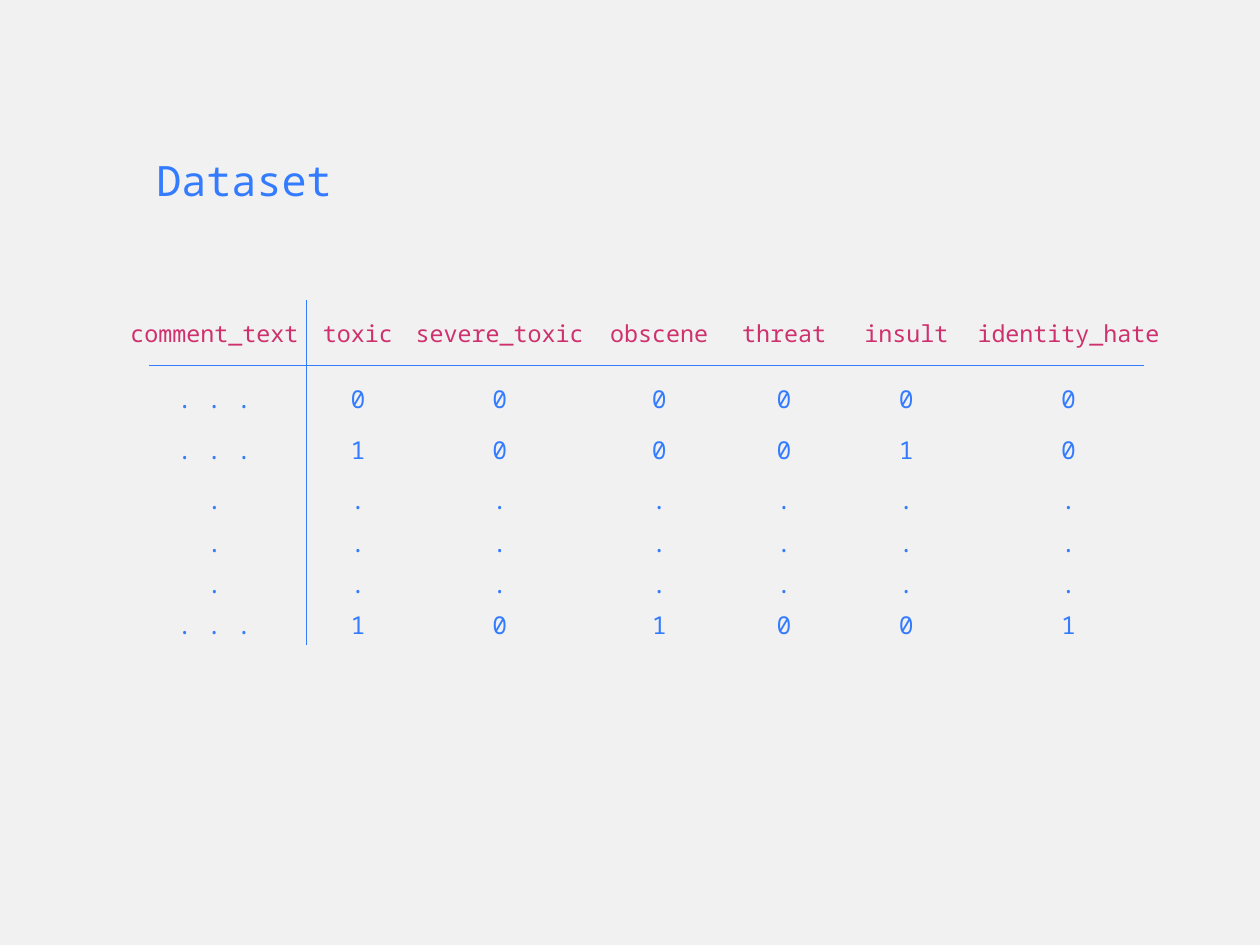
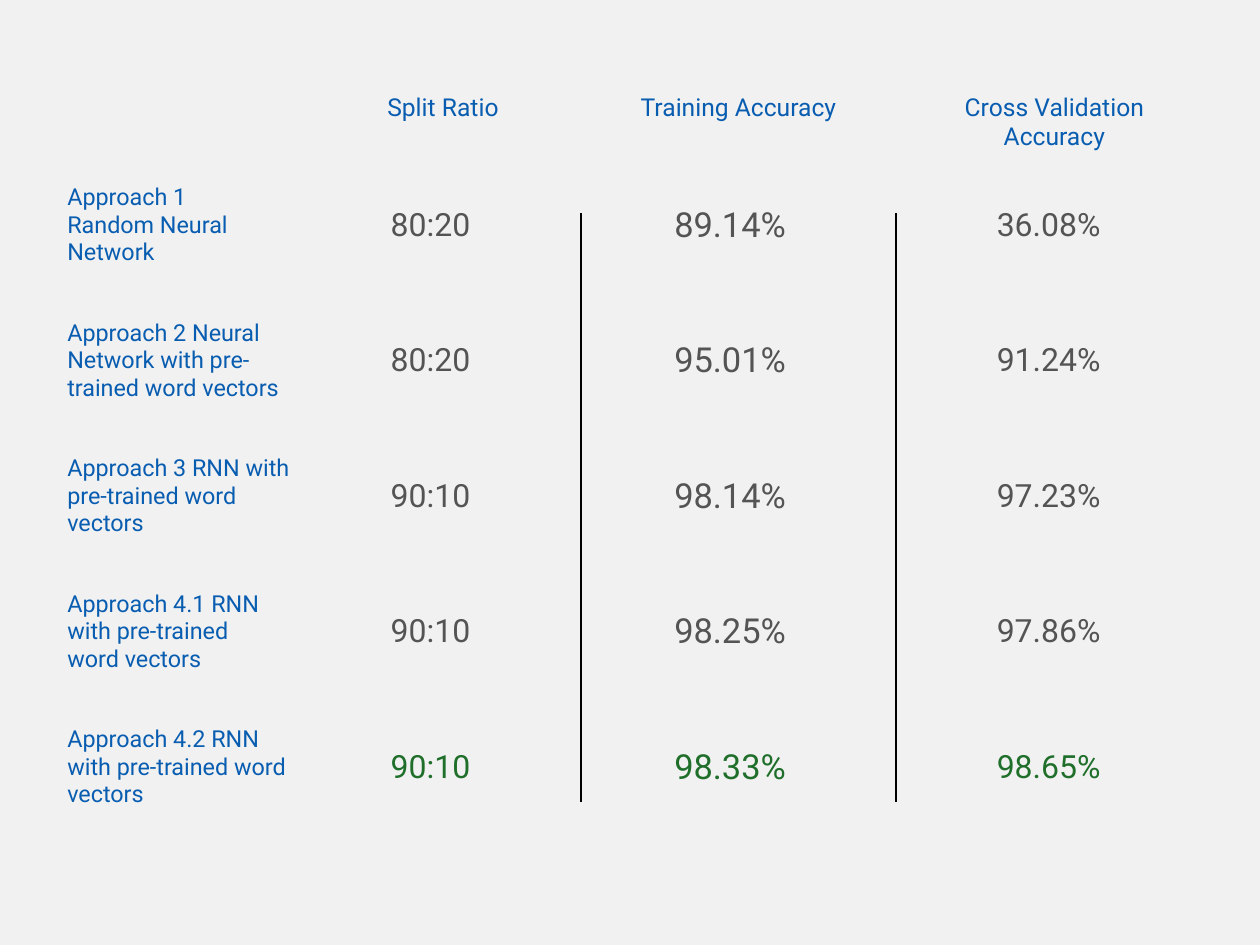
from pptx import Presentation
from pptx import util as u
from pptx.dml.color import RGBColor
from pptx.enum import shapes, text
from pptx.oxml.ns import qn
from lxml import etree

BACKGROUND = RGBColor(0xF1, 0xF1, 0xF1)
BRIGHT_BLUE = RGBColor(0x34, 0x7C, 0xFF)
PINK = RGBColor(0xCF, 0x31, 0x6E)
DEEP_BLUE = RGBColor(0x09, 0x5D, 0xB1)
GREY = RGBColor(0x54, 0x54, 0x54)
GREEN = RGBColor(0x1F, 0x6F, 0x2B)
BLACK = RGBColor(0, 0, 0)

MONO, SANS = "Noto Sans Mono", "Roboto"
NO_GRID_STYLE = "{2D5ABB26-0587-4C30-8999-92F81FD0307C}"
LEFT, CENTER = text.PP_ALIGN.LEFT, text.PP_ALIGN.CENTER
TOP, MIDDLE = text.MSO_ANCHOR.TOP, text.MSO_ANCHOR.MIDDLE

LABELS = ["comment_text", "toxic", "severe_toxic", "obscene", "threat",
          "insult", "identity_hate"]
DOTS = ["."] * len(LABELS)
COMMENTS = [
    [". . .", "0", "0", "0", "0", "0", "0"],
    [". . .", "1", "0", "0", "0", "1", "0"],
    DOTS, DOTS, DOTS,
    [". . .", "1", "0", "1", "0", "0", "1"],
]

RESULT_HEADERS = ["", "Split Ratio", "Training Accuracy",
                  "Cross Validation Accuracy"]
# Width in which each approach wraps, then its row of the table
RESULTS = [
    (1.96, ["Approach 1 Random Neural Network", "80:20", "89.14%", "36.08%"]),
    (2.55, ["Approach 2 Neural Network with pre-trained word vectors",
            "80:20", "95.01%", "91.24%"]),
    (2.55, ["Approach 3 RNN with pre-trained word vectors",
            "90:10", "98.14%", "97.23%"]),
    (2.29, ["Approach 4.1 RNN with pre-trained word vectors",
            "90:10", "98.25%", "97.86%"]),
    (2.55, ["Approach 4.2 RNN with pre-trained word vectors",
            "90:10", "98.33%", "98.65%"]),
]


def write(frame, content, font_name, size, color, align):
    paragraph = frame.paragraphs[0]
    paragraph.alignment = align
    run = paragraph.add_run()
    run.text = content
    run.font.name = font_name
    run.font.size = u.Pt(size)
    run.font.color.rgb = color


def fill_cell(cell, content, font_name, size, color, align=CENTER,
              anchor=MIDDLE, left=0, top=0, right=0):
    cell.fill.background()
    cell.vertical_anchor = anchor
    cell.margin_left, cell.margin_top = u.Inches(left), u.Inches(top)
    cell.margin_right, cell.margin_bottom = u.Inches(right), 0
    if content:
        write(cell.text_frame, content, font_name, size, color, align)


def add_plain_table(slide, left, top, widths, heights):
    """Add a table without borders or banding, sized by its columns and rows."""
    frame = slide.shapes.add_table(
        len(heights), len(widths), u.Inches(left), u.Inches(top),
        u.Inches(sum(widths)), u.Inches(sum(heights)))
    frame.element.find(".//" + qn("a:tableStyleId")).text = NO_GRID_STYLE
    table = frame.table
    table.horz_banding = False
    for column, width in zip(table.columns, widths):
        column.width = u.Inches(width)
    for row, height in zip(table.rows, heights):
        row.height = u.Inches(height)
    return table


def add_rule(slide, x1, y1, x2, y2, color, width):
    rule = slide.shapes.add_connector(
        shapes.MSO_CONNECTOR.STRAIGHT,
        u.Inches(x1), u.Inches(y1), u.Inches(x2), u.Inches(y2))
    rule.line.color.rgb = color
    rule.line.width = u.Pt(width)
    etree.SubElement(rule.element.spPr, qn("a:effectLst"))


def place_title(slide, content, left, top, width, height):
    title = slide.shapes.title
    title.left, title.top = u.Inches(left), u.Inches(top)
    title.width, title.height = u.Inches(width), u.Inches(height)
    frame = title.text_frame
    frame.word_wrap = False
    frame.auto_size = text.MSO_AUTO_SIZE.NONE
    frame.vertical_anchor = MIDDLE
    frame.margin_left = frame.margin_right = u.Inches(0.06)
    write(frame, content, MONO, 34, BRIGHT_BLUE, CENTER)


def add_comment_table(slide, left, top):
    widths = [2.08, 1.16, 2.04, 1.56, 1.26, 1.5, 2.16]
    heights = [0.74, 0.66, 0.58, 0.52, 0.47, 0.47, 0.45]
    # Extra space above the rows that follow a taller gap
    top_margins = {1: 0.08, 3: 0.04}
    table = add_plain_table(slide, left, top, widths, heights)
    for r, row in enumerate([LABELS] + COMMENTS):
        size, color = (20, BRIGHT_BLUE) if r else (19, PINK)
        for c, content in enumerate(row):
            fill_cell(table.cell(r, c), content, MONO, size, color,
                      top=top_margins.get(r, 0))
    header_bottom = top + heights[0]
    first_column_right = left + widths[0]
    add_rule(slide, left + 0.3, header_bottom,
             left + sum(widths) - 0.23, header_bottom, BRIGHT_BLUE, 1)
    add_rule(slide, first_column_right, top,
             first_column_right, top + sum(heights), BRIGHT_BLUE, 1)


def add_result_table(slide, left, top):
    widths = [2.74, 3.12, 3.55, 3.58]
    heights = [0.82] + [1.53] * len(RESULTS)
    value_indents = [0.97, 1.05, 1.14]
    value_sizes = [26, 28, 26]
    table = add_plain_table(slide, left, top, widths, heights)
    for c, header in enumerate(RESULT_HEADERS):
        fill_cell(table.cell(0, c), header, SANS, 20, DEEP_BLUE,
                  anchor=TOP, left=0.35, top=0.1, right=0.35)
    for r, (wrap_width, (approach, *values)) in enumerate(RESULTS, 1):
        fill_cell(table.cell(r, 0), approach, SANS, 19, DEEP_BLUE, LEFT,
                  left=0.06, right=widths[0] - 0.06 - wrap_width)
        color = GREEN if r == len(RESULTS) else GREY
        columns = zip(values, value_sizes, value_indents)
        for c, (value, size, indent) in enumerate(columns, 1):
            fill_cell(table.cell(r, c), value, SANS, size, color, LEFT,
                      left=indent)
    for count in (2, 3):
        x = left + sum(widths[:count])
        add_rule(slide, x, top + 1.45, x, top + 8.1, BLACK, 2)


def main():
    presentation = Presentation()
    presentation.slide_width = u.Inches(14.22)
    presentation.slide_height = u.Inches(10.67)
    fill = presentation.slide_master.background.fill
    fill.solid()
    fill.fore_color.rgb = BACKGROUND
    layouts = presentation.slide_layouts

    dataset = presentation.slides.add_slide(layouts.get_by_name("Title Only"))
    place_title(dataset, "Dataset", 1.7, 1.66, 2.11, 0.74)
    add_comment_table(dataset, 1.38, 3.39)

    results = presentation.slides.add_slide(layouts.get_by_name("Blank"))
    add_result_table(results, 0.7, 0.96)

    presentation.save("out.pptx")


if __name__ == "__main__":
    main()
